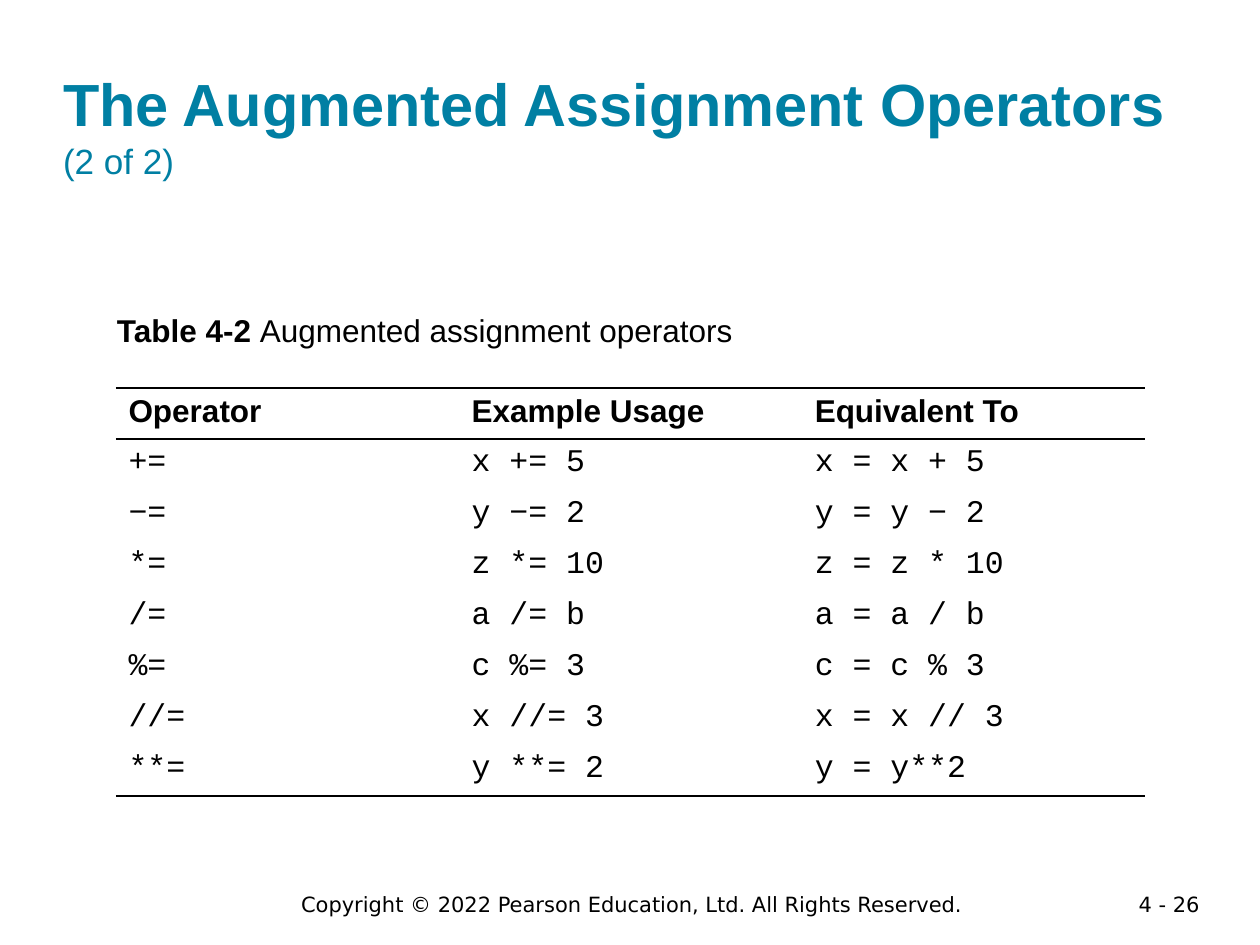
from lxml import etree
from pptx import Presentation
from pptx.dml.color import RGBColor
from pptx.enum.text import MSO_ANCHOR, MSO_AUTO_SIZE, PP_ALIGN
from pptx.oxml.ns import qn
from pptx.util import Inches, Pt

LEFT, CENTER, RIGHT = PP_ALIGN.LEFT, PP_ALIGN.CENTER, PP_ALIGN.RIGHT
BOTTOM = MSO_ANCHOR.BOTTOM
NO_AUTOFIT = MSO_AUTO_SIZE.NONE
TITLE_ONLY = 5

TEAL, BLACK, WHITE = "007FA3", "000000", "FFFFFF"
SANS, CODE, FOOTER = "Arial", "Courier New", "DejaVu Sans"

HEADINGS = ("Operator", "Example Usage", "Equivalent To")
OPERATORS = (
    ("+=", "x += 5", "x = x + 5"),
    ("−=", "y −= 2", "y = y − 2"),
    ("*=", "z *= 10", "z = z * 10"),
    ("/=", "a /= b", "a = a / b"),
    ("%=", "c %= 3", "c = c % 3"),
    ("//=", "x //= 3", "x = x // 3"),
    ("**=", "y **= 2", "y = y**2"),
)


def color(value):
    return RGBColor.from_string(value)


def add_span(para, text, size, font=SANS, ink=BLACK, bold=False):
    span = para.add_run()
    span.text = text
    span.font.size = Pt(size)
    span.font.name = font
    span.font.bold = bold
    span.font.color.rgb = color(ink)


def add_title(page):
    title = page.shapes.title
    title.left, title.top = Inches(0.5), Inches(0.24)
    title.width, title.height = Inches(9), Inches(1.2)
    frame = title.text_frame
    frame.auto_size = NO_AUTOFIT
    frame.word_wrap = True
    frame.vertical_anchor = BOTTOM
    frame.margin_left = frame.margin_right = 0
    frame.margin_top = frame.margin_bottom = 0
    para = frame.paragraphs[0]
    para.alignment = LEFT
    add_span(para, "The Augmented Assignment Operators", 34, ink=TEAL, bold=True)
    add_span(para, " ", 36, ink=TEAL)
    add_span(para, "(2 of 2)", 20, ink=TEAL)


def add_text_box(page, left, top, width, height, align=LEFT, wrap=True):
    """Add an empty text box and return its first paragraph."""
    box = page.shapes.add_textbox(
        Inches(left), Inches(top), Inches(width), Inches(height))
    box.text_frame.word_wrap = wrap
    para = box.text_frame.paragraphs[0]
    para.alignment = align
    return para


def set_borders(cell, ruled_sides):
    """Rule the given sides in black and clear the others."""
    properties = cell._tc.get_or_add_tcPr()
    for index, side in enumerate("LRTB"):
        line = etree.Element(qn(f"a:ln{side}"), w=str(Pt(1)))
        if side in ruled_sides:
            fill = etree.SubElement(line, qn("a:solidFill"))
            etree.SubElement(fill, qn("a:srgbClr"), val=BLACK)
        else:
            etree.SubElement(line, qn("a:noFill"))
        properties.insert(index, line)


def add_operator_table(page):
    rows = (HEADINGS,) + OPERATORS
    table = page.shapes.add_table(
        len(rows), len(HEADINGS),
        Inches(0.92), Inches(3.08), Inches(8.17), Inches(3.24)).table
    table.horz_banding = False
    borders = {0: "TB", 1: "T", len(rows) - 1: "B"}
    for row_index, row in enumerate(rows):
        heading = row_index == 0
        for column_index, text in enumerate(row):
            cell = table.cell(row_index, column_index)
            if heading:
                cell.fill.background()
            else:
                cell.fill.solid()
                cell.fill.fore_color.rgb = color(WHITE)
            set_borders(cell, borders.get(row_index, ""))
            add_span(cell.text_frame.paragraphs[0], text, 18,
                     font=SANS if heading else CODE, bold=heading)


def main():
    deck = Presentation()
    deck.slide_width, deck.slide_height = Inches(10), Inches(7.5)
    page = deck.slides.add_slide(deck.slide_layouts[TITLE_ONLY])

    # Footer
    number = add_text_box(page, 8.62, 7.03, 1, 0.22, RIGHT)
    add_span(number, "4 - 26", 12, FOOTER)
    notice = add_text_box(page, 1.64, 7.03, 6.75, 0.5, CENTER)
    add_span(notice, "Copyright © 2022 Pearson Education, Ltd. All Rights Reserved.",
             12, FOOTER)

    # Title
    add_title(page)

    # Table with its caption
    caption = add_text_box(page, 0.83, 2.42, 5.13, 0.4, wrap=False)
    add_span(caption, "Table 4-2 ", 18, bold=True)
    add_span(caption, "Augmented assignment operators", 18)
    add_operator_table(page)

    deck.save("out.pptx")


if __name__ == "__main__":
    main()
